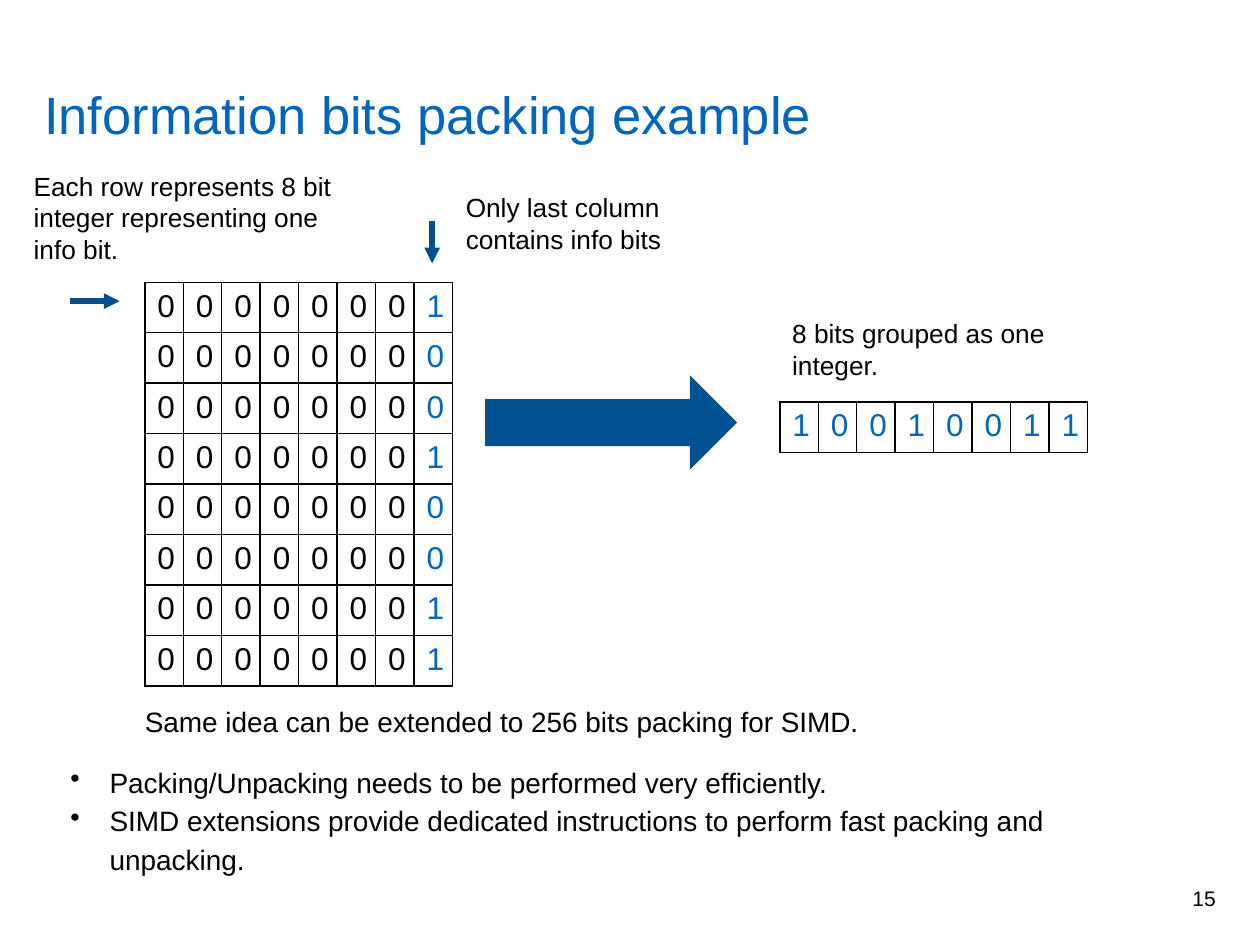
import pptx
import pptx.util
import pptx.dml.color
import pptx.enum.shapes
import pptx.enum.text
import pptx.oxml
import pptx.oxml.ns
from lxml import etree

Cm, Pt = pptx.util.Cm, pptx.util.Pt
COLORS = {"text": "000000", "title": "0065BD", "info": "0065BD",
          "line": "005090", "arrow": "005293", "grid": "000000"}
FONT = "Arial"
SIDE = 8

BITS = "10010011"
ROWS = ["0" * (SIDE - 1) + bit for bit in BITS]

# left, top, width, height in cm
TITLE = ("Information bits packing example", (0.89, 1.8, 23.65, 1.14))
NUMBER = ("15", (18.82, 17.6, 5.69, 1.02))
LABELS = [
    ("Only last column contains info bits", (9.14, 3.73, 6.35, 1.55)),
    ("8 bits grouped as one integer.", (15.72, 6.27, 5.84, 1.55)),
    ("Each row represents 8 bit integer representing one info bit.",
     (0.43, 3.3, 6.99, 2.18)),
]
REMARK = ("Same idea can be extended to 256 bits packing for SIMD.",
          (2.92, 14.1, 20.55, 0.71))
POINTS = ("Packing/Unpacking needs to be performed very efficiently.\n"
          "SIMD extensions provide dedicated instructions to perform "
          "fast packing and unpacking.", (1.42, 15.34, 22.38, 2.34))
MATRIX = (2.92, 5.69, 6.2, 8.13)
PACKED = (15.72, 8.1, 6.2, 1.02)
ARROW = (9.78, 7.57, 5.08, 1.9)
# x and y of start, then of end, in cm
POINTERS = [(8.71, 4.45, 8.71, 5.31), (1.42, 6.07, 2.41, 6.07)]


def cms(nums):
    return [Cm(num) for num in nums]


def rgb(name):
    return pptx.dml.color.RGBColor.from_string(COLORS[name])


def style(para, size, color):
    for run in para.runs:
        run.font.name = FONT
        run.font.size = Pt(size)
        run.font.color.rgb = rgb(color)


def add_text(slide, text, box, size, color="text", pad=(0.25, 0.13), space=None):
    frame = slide.shapes.add_textbox(*cms(box)).text_frame
    frame.word_wrap = True
    frame.margin_left = frame.margin_right = Cm(pad[0])
    frame.margin_top = frame.margin_bottom = Cm(pad[1])
    frame.text = text
    for para in frame.paragraphs:
        style(para, size, color)
        if space:
            para.line_spacing = space
    return frame


def add_bullet(para, indent):
    props = para._p.get_or_add_pPr()
    props.set("marL", str(indent))
    props.set("indent", str(-indent))
    mark = etree.SubElement(props, pptx.oxml.ns.qn("a:buChar"))
    mark.set("char", "•")


def add_border(cell):
    props = cell._tc.get_or_add_tcPr()
    for side in "LRTB":
        props.append(pptx.oxml.parse_xml(
            f'<a:ln{side} {pptx.oxml.ns.nsdecls("a")} w="{Pt(1)}"><a:solidFill>'
            f'<a:srgbClr val="{COLORS["grid"]}"/></a:solidFill></a:ln{side}>'))


def add_grid(slide, rows, box, is_info):
    """Table of single bits; is_info tells which columns are coloured."""
    shape = slide.shapes.add_table(len(rows), SIDE, *cms(box))
    table = shape.table
    table.first_row = table.horz_banding = False
    for r, row in enumerate(rows):
        table.rows[r].height = Cm(0.89)
        for c, bit in enumerate(row):
            cell = table.cell(r, c)
            cell.text = bit
            style(cell.text_frame.paragraphs[0], 18,
                  "info" if is_info(c) else "text")
            add_border(cell)
            cell.fill.background()
    shape.height = Cm(box[3])


def add_pointer(slide, ends):
    line = slide.shapes.add_connector(
        pptx.enum.shapes.MSO_CONNECTOR.STRAIGHT, *cms(ends))
    line.line.color.rgb = rgb("line")
    line.line.width = Pt(3)
    tail = etree.SubElement(line.line._get_or_add_ln(),
                            pptx.oxml.ns.qn("a:tailEnd"))
    tail.set("type", "triangle")
    etree.SubElement(line._element.spPr, pptx.oxml.ns.qn("a:effectLst"))


def main():
    deck = pptx.Presentation()
    deck.slide_width, deck.slide_height = cms((25.4, 19.05))
    slide = deck.slides.add_slide(deck.slide_layouts[6])

    add_text(slide, *TITLE, 30, "title", (0, 0), Pt(32))
    number = add_text(slide, *NUMBER, 12, pad=(0, 0.13))
    number.vertical_anchor = pptx.enum.text.MSO_ANCHOR.MIDDLE
    number.paragraphs[0].alignment = pptx.enum.text.PP_ALIGN.RIGHT

    add_grid(slide, ROWS, MATRIX, lambda col: col == SIDE - 1)
    add_grid(slide, [BITS], PACKED, lambda col: True)

    arrow = slide.shapes.add_shape(
        pptx.enum.shapes.MSO_SHAPE.RIGHT_ARROW, *cms(ARROW))
    arrow.shadow.inherit = False
    arrow.fill.solid()
    arrow.fill.fore_color.rgb = rgb("arrow")
    arrow.line.fill.background()
    for ends in POINTERS:
        add_pointer(slide, ends)

    for text, box in LABELS:
        add_text(slide, text, box, 15)
    add_text(slide, *REMARK, 16, pad=(0, 0), space=1.14)
    points = add_text(slide, *POINTS, 16, pad=(0, 0), space=1.14)
    for para in points.paragraphs:
        add_bullet(para, Cm(0.79))

    deck.save("out.pptx")


if __name__ == "__main__":
    main()
